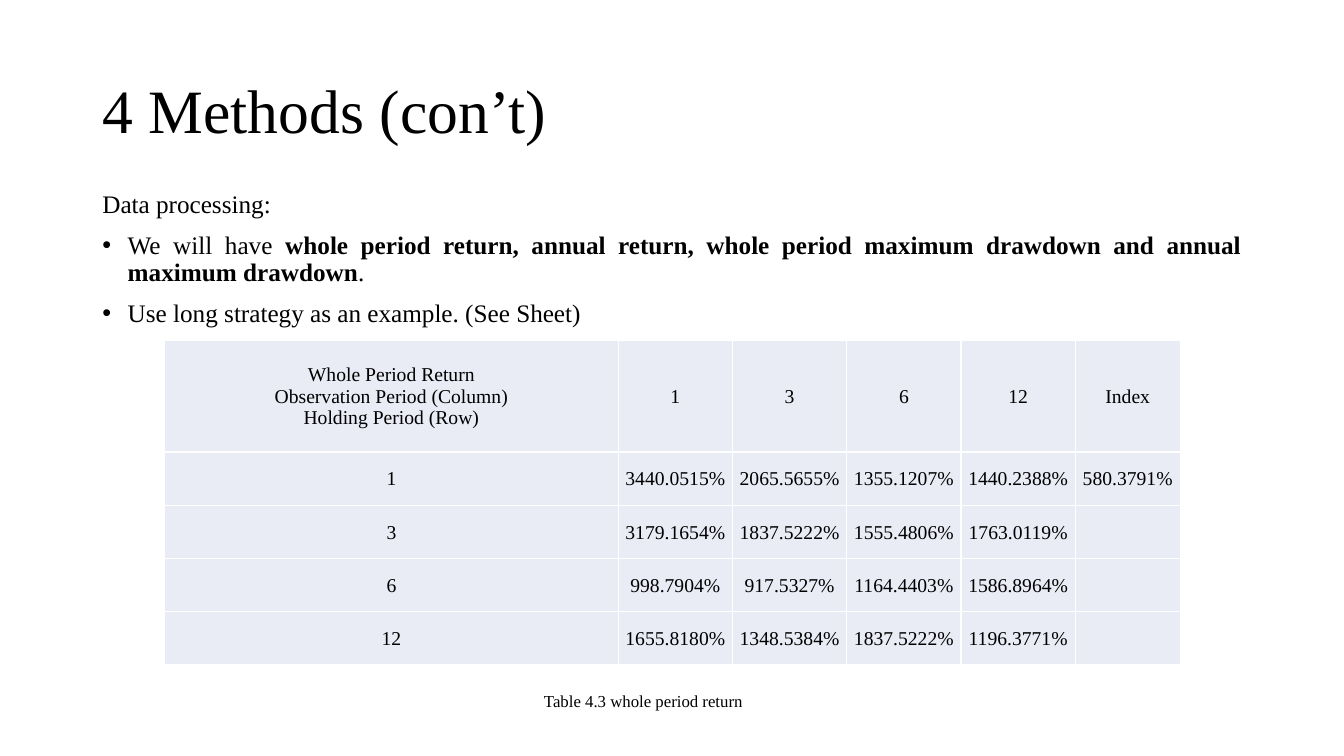
from lxml import etree
from pptx import Presentation
from pptx.dml.color import RGBColor
from pptx.enum.text import MSO_ANCHOR, MSO_AUTO_SIZE, PP_ALIGN
from pptx.oxml import parse_xml
from pptx.oxml.ns import nsdecls, qn
from pptx.util import Cm, Pt

BLACK = RGBColor(0x00, 0x00, 0x00)
WHITE = RGBColor(0xFF, 0xFF, 0xFF)
PALE_BLUE = RGBColor(0xE9, 0xEB, 0xF5)
FONT = "Times New Roman"
LEFT, CENTER, JUSTIFY = PP_ALIGN.LEFT, PP_ALIGN.CENTER, PP_ALIGN.JUSTIFY
MIDDLE = MSO_ANCHOR.MIDDLE
NO_FIT, GROW = MSO_AUTO_SIZE.NONE, MSO_AUTO_SIZE.SHAPE_TO_FIT_TEXT
TITLE_ONLY = 5

POINTS = [
    (False, [("Data processing:", False)]),
    (True, [
        ("We will have ", False),
        ("whole period return, annual return, whole period maximum drawdown "
         "and annual maximum drawdown", True),
        (".", False),
    ]),
    (True, [("Use long strategy as an example. (See Sheet)", False)]),
]
RETURNS = [
    ["Whole Period Return\nObservation Period (Column)\nHolding Period (Row)",
     "1", "3", "6", "12", "Index"],
    ["1", "3440.0515%", "2065.5655%", "1355.1207%", "1440.2388%", "580.3791%"],
    ["3", "3179.1654%", "1837.5222%", "1555.4806%", "1763.0119%", ""],
    ["6", "998.7904%", "917.5327%", "1164.4403%", "1586.8964%", ""],
    ["12", "1655.8180%", "1348.5384%", "1837.5222%", "1196.3771%", ""],
]
COLUMN_WIDTHS = [11.43] + [2.88] * 4 + [2.64]
ROW_HEIGHTS = [2.82] + [1.34] * 4


def format_font(font, size, bold=False):
    font.name = FONT
    font.size = Pt(size)
    font.bold = bold
    font.color.rgb = BLACK


def format_runs(para, size):
    for span in para.runs:
        format_font(span.font, size)


def add_bullet(para):
    properties = para._p.get_or_add_pPr()
    properties.set("marL", str(Cm(0.64)))
    properties.set("indent", str(-Cm(0.64)))
    etree.SubElement(properties, qn("a:buFont")).set("typeface", "Arial")
    etree.SubElement(properties, qn("a:buChar")).set("char", "•")


def add_borders(cell):
    properties = cell._tc.get_or_add_tcPr()
    for side in ("lnL", "lnR", "lnT", "lnB"):
        properties.append(parse_xml(
            f'<a:{side} {nsdecls("a")} w="{Pt(1)}"><a:solidFill>'
            f'<a:srgbClr val="{WHITE}"/></a:solidFill></a:{side}>'))


def add_title(slide, left, top, width, height):
    title = slide.shapes.title
    title.left, title.top, title.width, title.height = left, top, width, height
    frame = title.text_frame
    frame.text = "4 Methods (con’t)"
    frame.auto_size = NO_FIT
    frame.vertical_anchor = MIDDLE
    para = frame.paragraphs[0]
    para.alignment = LEFT
    para.line_spacing = 0.9
    format_runs(para, 44)


def add_points(slide, left, top, width, height):
    frame = slide.shapes.add_textbox(left, top, width, height).text_frame
    frame.word_wrap = True
    for index, (bulleted, parts) in enumerate(POINTS):
        para = frame.add_paragraph() if index else frame.paragraphs[0]
        para.alignment = JUSTIFY
        para.line_spacing = 0.9
        para.space_before = Pt(10)
        if bulleted:
            add_bullet(para)
        for text, bold in parts:
            span = para.add_run()
            span.text = text
            format_font(span.font, 18, bold)


def fill_cell(cell, text):
    cell.margin_left = cell.margin_right = cell.margin_top = Cm(0.03)
    cell.margin_bottom = 0
    cell.vertical_anchor = MIDDLE
    add_borders(cell)
    cell.fill.solid()
    cell.fill.fore_color.rgb = PALE_BLUE
    para = cell.text_frame.paragraphs[0]
    para.text = text
    para.alignment = CENTER
    format_runs(para, 14)


def add_returns_table(slide, left, top):
    width, height = Cm(sum(COLUMN_WIDTHS)), Cm(sum(ROW_HEIGHTS))
    table = slide.shapes.add_table(
        len(RETURNS), len(COLUMN_WIDTHS), left, top, width, height).table
    table.first_row = table.horz_banding = False
    for column, column_width in zip(table.columns, COLUMN_WIDTHS):
        column.width = Cm(column_width)
    for row, row_height, texts in zip(table.rows, ROW_HEIGHTS, RETURNS):
        row.height = Cm(row_height)
        for cell, text in zip(row.cells, texts):
            fill_cell(cell, text)


def add_caption(slide, left, top, width, height):
    frame = slide.shapes.add_textbox(left, top, width, height).text_frame
    frame.word_wrap = True
    frame.auto_size = GROW
    frame.text = "Table 4.3 whole period return"
    format_runs(frame.paragraphs[0], 12)


def main():
    deck = Presentation()
    deck.slide_width, deck.slide_height = Cm(33.87), Cm(19.05)
    slide = deck.slides.add_slide(deck.slide_layouts[TITLE_ONLY])
    margin, content_width = Cm(2.33), Cm(29.21)
    add_title(slide, margin, Cm(1.01), content_width, Cm(3.68))
    add_points(slide, margin, Cm(4.7), content_width, Cm(12.47))
    add_returns_table(slide, Cm(4.15), Cm(8.57))
    add_caption(slide, Cm(13.46), Cm(17.27), Cm(5.61), Cm(0.77))
    deck.save("out.pptx")


if __name__ == "__main__":
    main()
